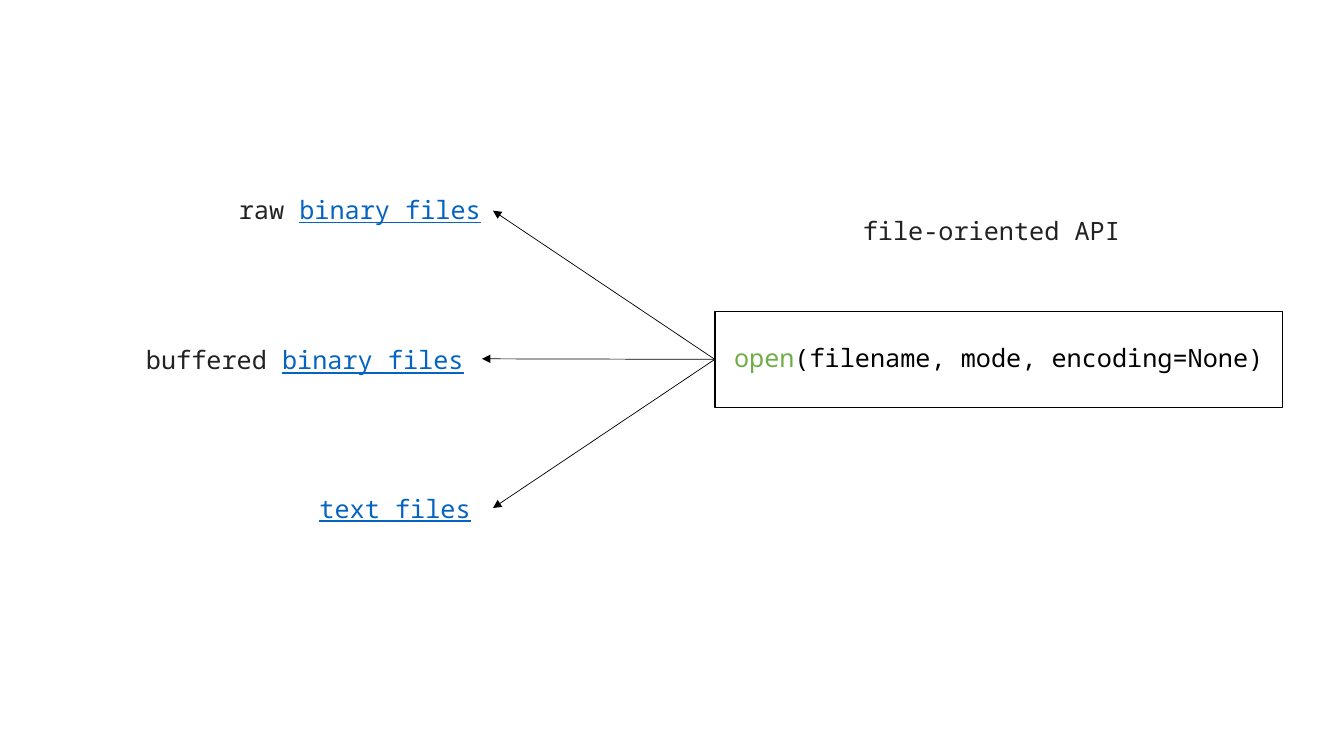
from lxml import etree
from pptx import Presentation
from pptx.dml.color import RGBColor
from pptx.enum.shapes import MSO_CONNECTOR, MSO_SHAPE
from pptx.enum.text import MSO_ANCHOR, MSO_AUTO_SIZE, PP_ALIGN
from pptx.oxml.ns import qn
from pptx.util import Pt

PX = 9144  # 100 px to the inch
RECT = MSO_SHAPE.RECTANGLE
STRAIGHT = MSO_CONNECTOR.STRAIGHT
MIDDLE = MSO_ANCHOR.MIDDLE
CENTER = PP_ALIGN.CENTER
NO_FIT = MSO_AUTO_SIZE.NONE
GROW = MSO_AUTO_SIZE.SHAPE_TO_FIT_TEXT

COLORS = {"white": "FFFFFF", "black": "000000", "text": "222222",
          "builtin": "70AD47", "link": "0563C1"}
FONT = {"name": "Noto Sans Mono", "size": Pt(18), "bold": False}

API_BOX = (709, 309, 563, 95)
API_LABEL = (846, 209, 276, 40)
# label box, plain prefix, linked words, arrow tip
FILE_KINDS = [
    ((227, 188, 261, 40), "raw ", "binary files", (489, 209)),
    ((135, 337, 337, 40), "buffered ", "binary files", (478, 356)),
    ((307, 484, 171, 40), "", "text files", (489, 504)),
]


def px(*lengths):
    return [round(n * PX) for n in lengths]


def rgb(name):
    return RGBColor.from_string(COLORS[name])


def add_runs(p, runs):
    """Append (text, colour name) runs; link-coloured ones are underlined."""
    for text, color in runs:
        r = p.add_run()
        r.text = text
        for key, value in FONT.items():
            setattr(r.font, key, value)
        r.font.color.rgb = rgb(color)
        if color == "link":
            r.font.underline = True


def add_label(s, box, runs):
    tf = s.shapes.add_textbox(*px(*box)).text_frame
    tf.word_wrap = False
    tf.auto_size = GROW
    add_runs(tf.paragraphs[0], runs)


def add_arrow(s, start, tip):
    line = s.shapes.add_connector(STRAIGHT, *px(*start, *tip))
    line.line.color.rgb = rgb("black")
    line.line.width = Pt(0.5)
    etree.SubElement(line.line._get_or_add_ln(), qn("a:tailEnd"), type="triangle")
    etree.SubElement(line.element.spPr, qn("a:effectLst"))


def add_open_call(s, box):
    """Frame the open() call, with the slide title as its text."""
    x, y, w, h = box
    frame = s.shapes.add_shape(RECT, *px(*box))
    frame.shadow.inherit = False
    frame.fill.solid()
    frame.fill.fore_color.rgb = rgb("white")
    frame.line.color.rgb = rgb("black")
    frame.line.width = Pt(1)

    title = s.shapes.title
    title.element.addprevious(frame.element)
    title.left, title.top, title.width, title.height = px(x + 8, y + 12, w - 16, 70)
    tf = title.text_frame
    settings = {"word_wrap": True, "auto_size": NO_FIT, "vertical_anchor": MIDDLE,
                "margin_left": 0, "margin_right": 0}
    for key, value in settings.items():
        setattr(tf, key, value)
    p = tf.paragraphs[0]
    p.alignment = CENTER
    p.line_spacing = 0.9
    add_runs(p, [("open", "builtin"), ("(filename, mode, encoding=None)", "black")])


def add_file_kinds(s, start):
    for box, prefix, link, tip in FILE_KINDS:
        add_arrow(s, start, tip)
        runs = [(prefix, "text"), (link, "link")]
        add_label(s, box, [run for run in runs if run[0]])


def main():
    prs = Presentation()
    prs.slide_width, prs.slide_height = px(1333, 750)
    s = prs.slides.add_slide(prs.slide_layouts[5])
    add_open_call(s, API_BOX)
    x, y, _, h = API_BOX
    add_file_kinds(s, (x, y + h / 2))
    add_label(s, API_LABEL, [("file-oriented API", "text")])
    prs.save("out.pptx")


if __name__ == "__main__":
    main()
